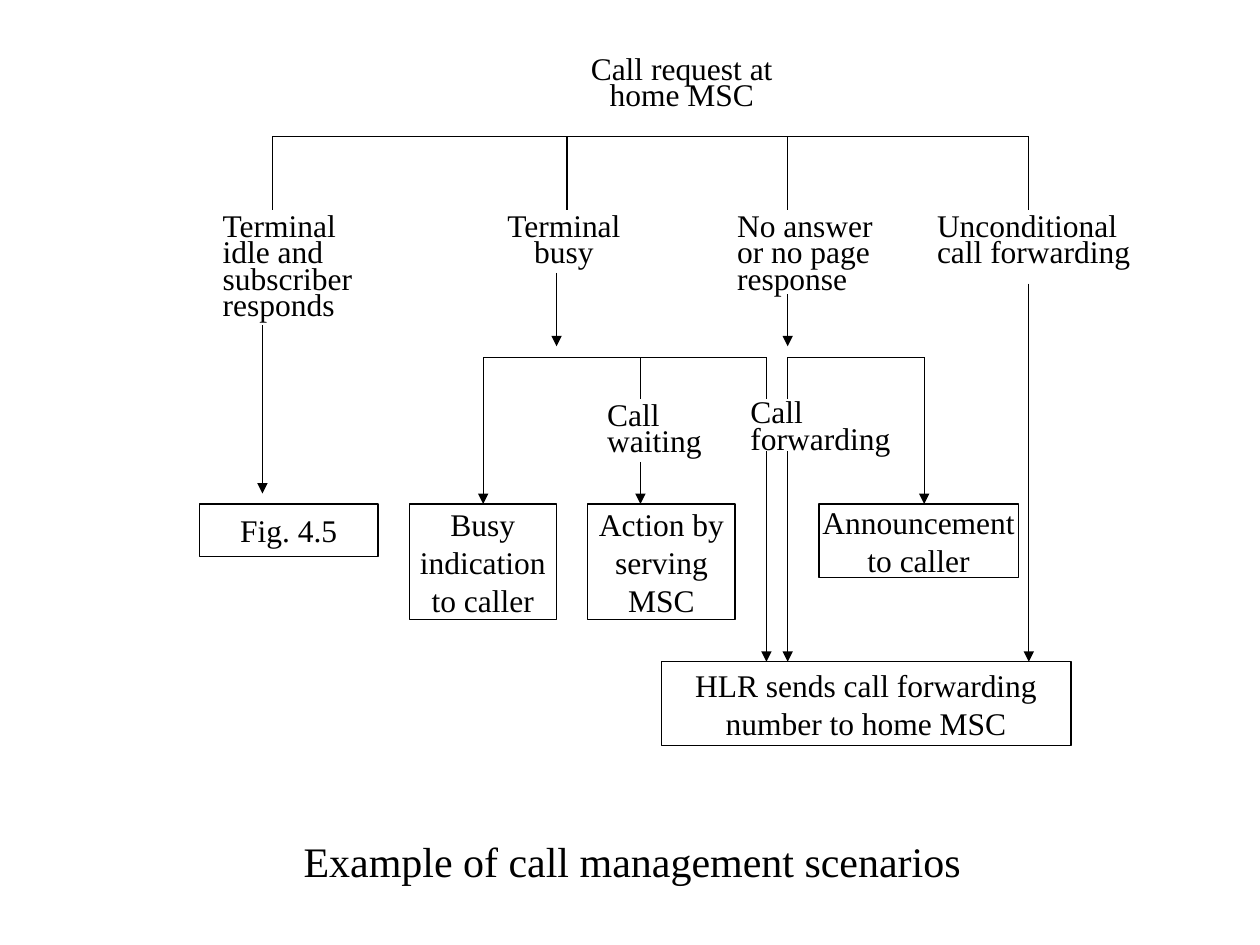
from lxml import etree
from pptx import Presentation
from pptx.dml.color import RGBColor
from pptx.enum.shapes import MSO_CONNECTOR, MSO_SHAPE
from pptx.enum.text import MSO_ANCHOR, MSO_AUTO_SIZE, PP_ALIGN
from pptx.oxml.ns import qn
from pptx.util import Cm, Pt

STRAIGHT = MSO_CONNECTOR.STRAIGHT
RECTANGLE = MSO_SHAPE.RECTANGLE
LEFT, CENTER = PP_ALIGN.LEFT, PP_ALIGN.CENTER
MIDDLE, TOP = MSO_ANCHOR.MIDDLE, MSO_ANCHOR.TOP
FIT_SHAPE, NO_FIT = MSO_AUTO_SIZE.SHAPE_TO_FIT_TEXT, MSO_AUTO_SIZE.NONE

INK, PAPER = "000000", "FFFFFF"
LINE_WIDTH = 0.75
TIGHT = 0.7
FONT = {"name": "Times New Roman", "size": Pt(18)}


def color(hex_value):
    return RGBColor.from_string(hex_value)


def set_attributes(target, values):
    for name, value in values.items():
        setattr(target, name, value)


def write_text(shape, text, frame_format, paragraph_format, font_format):
    """Write one paragraph for each line of the text."""
    frame = shape.text_frame
    frame.text = text
    set_attributes(frame, {"word_wrap": False, **frame_format})
    for paragraph in frame.paragraphs:
        set_attributes(paragraph, paragraph_format)
        for run in paragraph.runs:
            set_attributes(run.font, font_format)
            run.font.color.rgb = color(INK)


def add_label(slide, left, top, width, height, text, alignment=LEFT, spacing=TIGHT, size=18):
    label = slide.shapes.add_textbox(Cm(left), Cm(top), Cm(width), Cm(height))
    write_text(label, text, {"auto_size": FIT_SHAPE, "vertical_anchor": TOP},
               {"alignment": alignment, "line_spacing": spacing},
               {**FONT, "size": Pt(size)})


def add_box(slide, left, top, width, height, text):
    box = slide.shapes.add_shape(RECTANGLE, Cm(left), Cm(top), Cm(width), Cm(height))
    box.shadow.inherit = False
    box.fill.solid()
    box.fill.fore_color.rgb = color(PAPER)
    box.line.color.rgb = color(INK)
    box.line.width = Pt(LINE_WIDTH)
    write_text(box, text, {"auto_size": NO_FIT, "vertical_anchor": MIDDLE},
               {"alignment": CENTER}, FONT)


def add_line(slide, start, end, arrow=False):
    line = slide.shapes.add_connector(STRAIGHT, *(Cm(value) for value in (*start, *end)))
    line.line.color.rgb = color(INK)
    line.line.width = Pt(LINE_WIDTH)
    if arrow:
        etree.SubElement(line.line._get_or_add_ln(), qn("a:tailEnd"), type="triangle")
    etree.SubElement(line._element.spPr, qn("a:effectLst"))


def add_drops(slide, left, top, drops):
    """Vertical lines, each given as x offset, start, end and arrow."""
    for x, start, end, arrow in drops:
        add_line(slide, (left + x, top + start), (left + x, top + end), arrow)


def add_fork(slide, left, top, width, drops):
    """A horizontal bar with lines hanging from it."""
    add_line(slide, (left, top), (left + width, top))
    add_drops(slide, left, top, [(x, 0, length, arrow) for x, length, arrow in drops])


def build_request(slide, left, top):
    # Call request and its four branches
    add_label(slide, left + 6.16, top - 1.68, 4.17, 1.32, "Call request at\nhome MSC", CENTER)
    add_fork(slide, left, top, 15.24,
             [(x, 1.48, False) for x in (0, 5.93, 10.38, 15.24)])


def build_conditions(slide, left, top):
    # State of the called terminal
    for x, width, height, text, alignment in (
        (0, 3.15, 2.39, "Terminal\nidle and\nsubscriber\nresponds", LEFT),
        (5.72, 2.82, 1.32, "Terminal\nbusy", CENTER),
        (10.37, 3.3, 1.85, "No answer\nor no page\nresponse", LEFT),
        (14.4, 4.5, 1.32, "Unconditional\ncall forwarding", LEFT),
    ):
        add_label(slide, left + x, top, width, height, text, alignment)
    # Arrows leaving each state
    add_drops(slide, left, top, [
        (1.05, 2.33, 5.72, True),
        (6.98, 1.27, 2.75, True),
        (11.64, 1.7, 2.75, True),
        (16.5, 1.49, 9.11, True),
    ])


def build_services(slide, left, top):
    # Fork below the busy state, then the one below no answer
    add_fork(slide, left, top, 5.71,
             [(0, 2.96, True), (3.17, 0.84, False), (5.71, 0.84, False)])
    add_fork(slide, left + 6.14, top, 2.75, [(0, 0.84, False), (2.75, 2.96, True)])
    # Services and the arrows leaving them
    add_label(slide, left + 2.25, top + 0.84, 2.45, 1.32, "Call\nwaiting")
    add_label(slide, left + 5.14, top + 0.79, 3.4, 1.32, "Call\nforwarding")
    add_drops(slide, left, top, [
        (3.17, 2.11, 2.96, True),
        (5.71, 1.9, 6.14, True),
        (6.14, 1.9, 6.14, True),
    ])


def build_outcomes(slide, left, top):
    for x, y, width, height, text in (
        (0, 0, 3.6, 1.06, "Fig. 4.5"),
        (4.23, 0, 2.97, 2.33, "Busy\nindication\nto caller"),
        (7.83, 0, 2.97, 2.33, "Action by\nserving\nMSC"),
        (12.49, 0, 4.02, 1.48, "Announcement\nto caller"),
        (9.31, 3.18, 8.26, 1.69, "HLR sends call forwarding\nnumber to home MSC"),
    ):
        add_box(slide, left + x, top + y, width, height, text)


def build_caption(slide, left, top):
    add_label(slide, left, top, 13.77, 1.27, "Example of call management scenarios",
              spacing=1.0, size=24)


def main():
    presentation = Presentation()
    set_attributes(presentation, {"slide_width": Cm(25.4), "slide_height": Cm(19.05)})
    slide = presentation.slides.add_slide(presentation.slide_layouts[6])
    build_caption(slide, 5.87, 16.72)
    build_outcomes(slide, 4.02, 10.16)
    build_conditions(slide, 4.24, 4.23)
    build_request(slide, 5.5, 2.75)
    build_services(slide, 9.74, 7.2)
    presentation.save("out.pptx")


if __name__ == "__main__":
    main()
